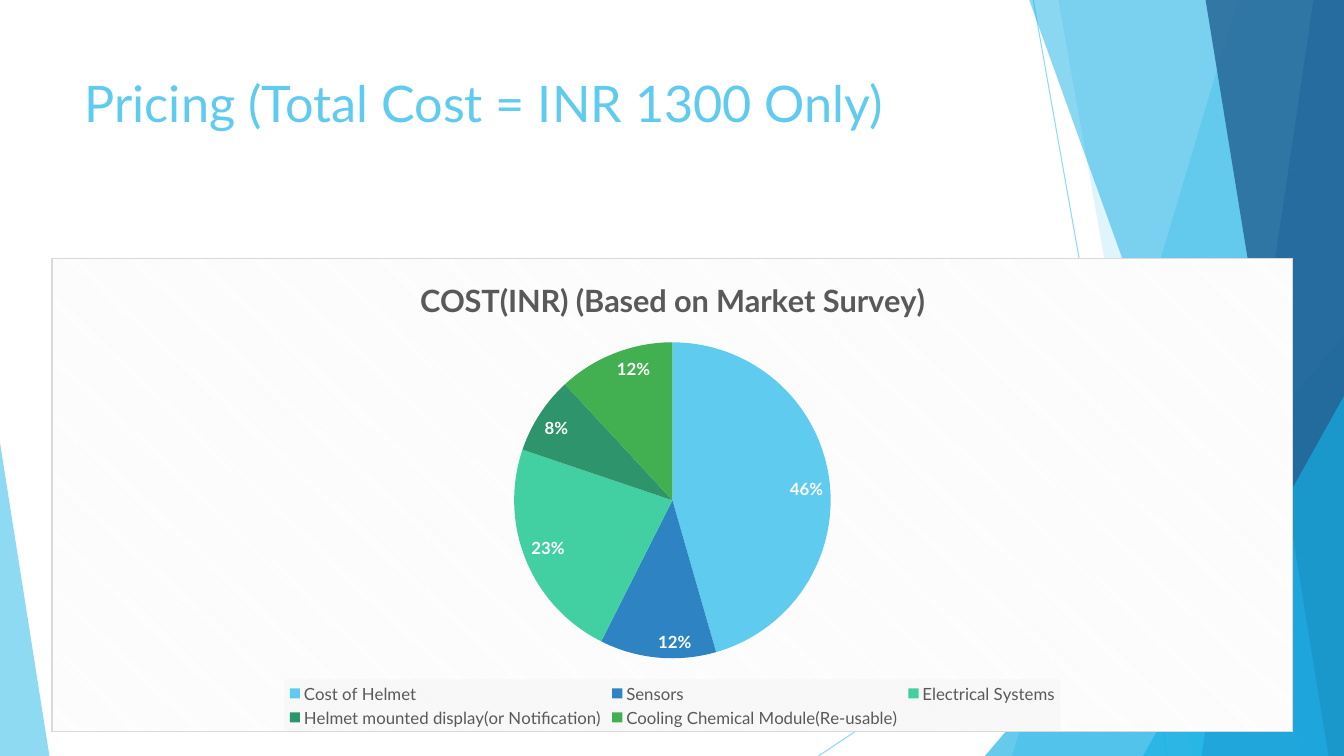
from lxml.etree import SubElement
from pptx import Presentation
from pptx.chart.data import CategoryChartData
from pptx.dml.color import RGBColor
from pptx.enum.chart import XL_CHART_TYPE, XL_LABEL_POSITION, XL_LEGEND_POSITION
from pptx.enum.shapes import MSO_CONNECTOR, MSO_SHAPE
from pptx.enum.text import MSO_ANCHOR, PP_ALIGN
from pptx.oxml import parse_xml
from pptx.oxml.ns import nsdecls, qn
from pptx.util import Inches, Pt

SKY = RGBColor(0x5F, 0xCB, 0xEF)
CYAN = RGBColor(0x17, 0xB0, 0xE4)
BLUE = RGBColor(0x2E, 0x83, 0xC3)
NAVY = RGBColor(0x22, 0x62, 0x92)
MINT = RGBColor(0x42, 0xD0, 0xA2)
PINE = RGBColor(0x2E, 0x94, 0x6B)
GREEN = RGBColor(0x42, 0xB0, 0x51)
GREY = RGBColor(0x59, 0x59, 0x59)
WHITE = RGBColor(0xFF, 0xFF, 0xFF)
FONT = "Lato"
CHART_TITLE = "COST(INR) (Based on Market Survey)"

presentation = Presentation()
presentation.slide_width = Inches(13.33)
presentation.slide_height = Inches(7.5)
# Every length is a count of columns and rows on a 100 by 100 grid
COLUMN = presentation.slide_width / 100
ROW = presentation.slide_height / 100
slide = presentation.slides.add_slide(presentation.slide_layouts[5])


def grid_box(left, top, width, height):
    """Turn grid columns and rows into left, top, width and height in EMU."""
    return int(left * COLUMN), int(top * ROW), int(width * COLUMN), int(height * ROW)


def set_opacity(properties, percent):
    """Make every solid colour below the given shape properties see-through."""
    for colour in properties.iter(qn("a:srgbClr")):
        SubElement(colour, qn("a:alpha"), val=str(percent * 1000))


# Thin crossing lines
for start_x, start_y, end_x, end_y in [(76.88, 0, 86.86, 100), (100, 53.73, 60.9, 100)]:
    line = slide.shapes.add_connector(
        MSO_CONNECTOR.STRAIGHT, *grid_box(start_x, start_y, end_x, end_y))
    line.line.color.rgb = SKY
    line.line.width = Pt(0.75)
    properties = line._element.spPr
    set_opacity(properties, 70)
    SubElement(properties, qn("a:effectLst"))

# Facets run to the right edge: (top column, bottom column).
# Triangles stand on the bottom edge: (left, top, width, apex).
decorations = [
    ((92.1, 75.3), SKY, 36),
    ((78.75, 88.73), SKY, 20),
    ((73.28, 44.4, 26.72, 1), CYAN, 66),
    ((76.58, 96.83), CYAN, 50),
    ((97.73, 89.4), BLUE, 70),
    ((89.7, 98.85), NAVY, 80),
    ((85.05, 52.4, 14.95, 1), CYAN, 66),
    ((0, 58.53, 3.68, 0), SKY, 70),
]
for geometry, colour, opacity in decorations:
    if len(geometry) == 2:
        top_column, bottom_column = geometry
        corners = [(100, 0), (100, 100), (bottom_column, 100)]
        outline = slide.shapes.build_freeform(int(top_column * COLUMN), 0)
        outline.add_line_segments([(int(x * COLUMN), int(y * ROW)) for x, y in corners])
        shape = outline.convert_to_shape()
    else:
        left, top, width, apex = geometry
        shape = slide.shapes.add_shape(
            MSO_SHAPE.ISOSCELES_TRIANGLE, *grid_box(left, top, width, 100 - top))
        shape.adjustments[0] = apex
    shape.shadow.inherit = False
    shape.fill.solid()
    shape.fill.fore_color.rgb = colour
    shape.line.fill.background()
    set_opacity(shape._element.spPr, opacity)

# Title, brought in front of the decorations
title = slide.shapes.title
title.left, title.top, title.width, title.height = grid_box(5.55, 8.93, 70.5, 19.2)
slide.shapes._spTree.append(title._element)
title.text_frame.text = "Pricing (Total Cost = INR 1300 Only)"
title.text_frame.vertical_anchor = MSO_ANCHOR.TOP
title.text_frame.word_wrap = True
title_paragraph = title.text_frame.paragraphs[0]
title_paragraph.alignment = PP_ALIGN.LEFT

# Cost chart
costs = [
    ("Cost of Helmet", 46, SKY),
    ("Sensors", 12, BLUE),
    ("Electrical Systems", 23, MINT),
    ("Helmet mounted display(or Notification)", 8, PINE),
    ("Cooling Chemical Module(Re-usable)", 12, GREEN),
]
chart_data = CategoryChartData()
chart_data.categories = [name for name, _, _ in costs]
chart_data.add_series(CHART_TITLE, [value for _, value, _ in costs])
chart = slide.shapes.add_chart(
    XL_CHART_TYPE.PIE, *grid_box(3.83, 34.13, 92.4, 62.67), chart_data).chart

chart.has_title = True
chart.chart_title.text_frame.text = CHART_TITLE
chart.chart_title.include_in_layout = False
chart.has_legend = True
chart.legend.position = XL_LEGEND_POSITION.BOTTOM
chart.legend.include_in_layout = False

plot = chart.plots[0]
plot.vary_by_categories = True
for index, (_, _, colour) in enumerate(costs):
    slice_fill = plot.series[0].points[index].format.fill
    slice_fill.solid()
    slice_fill.fore_color.rgb = colour
plot.has_data_labels = True
labels = plot.data_labels
label_format = {
    "show_percentage": True,
    "show_value": False,
    "number_format": "0%",
    "number_format_is_linked": False,
    "position": XL_LABEL_POSITION.INSIDE_END,
}
for attribute, value in label_format.items():
    setattr(labels, attribute, value)

# Hatched chart background and faint legend panel
chart._chartSpace.chart.addnext(parse_xml(
    f'<c:spPr {nsdecls("c", "a")}><a:pattFill prst="dkDnDiag">'
    '<a:fgClr><a:srgbClr val="F2F2F2"/></a:fgClr>'
    '<a:bgClr><a:srgbClr val="FFFFFF"/></a:bgClr></a:pattFill>'
    '<a:ln w="9525"><a:solidFill><a:srgbClr val="D9D9D9"/></a:solidFill></a:ln></c:spPr>'))
legend_panel = parse_xml(
    f'<c:spPr {nsdecls("c", "a")}><a:solidFill>'
    '<a:srgbClr val="F2F2F2"/></a:solidFill></c:spPr>')
set_opacity(legend_panel, 39)
chart.legend._element.find(qn("c:overlay")).addnext(legend_panel)

text_styles = [
    (title_paragraph.font, 36, False, SKY),
    (chart.chart_title.text_frame.paragraphs[0].font, 22, True, GREY),
    (chart.legend.font, 12, False, GREY),
    (labels.font, 12, True, WHITE),
]
for font, size, bold, colour in text_styles:
    for attribute, value in {"name": FONT, "size": Pt(size), "bold": bold}.items():
        setattr(font, attribute, value)
    font.color.rgb = colour

presentation.save("out.pptx")
